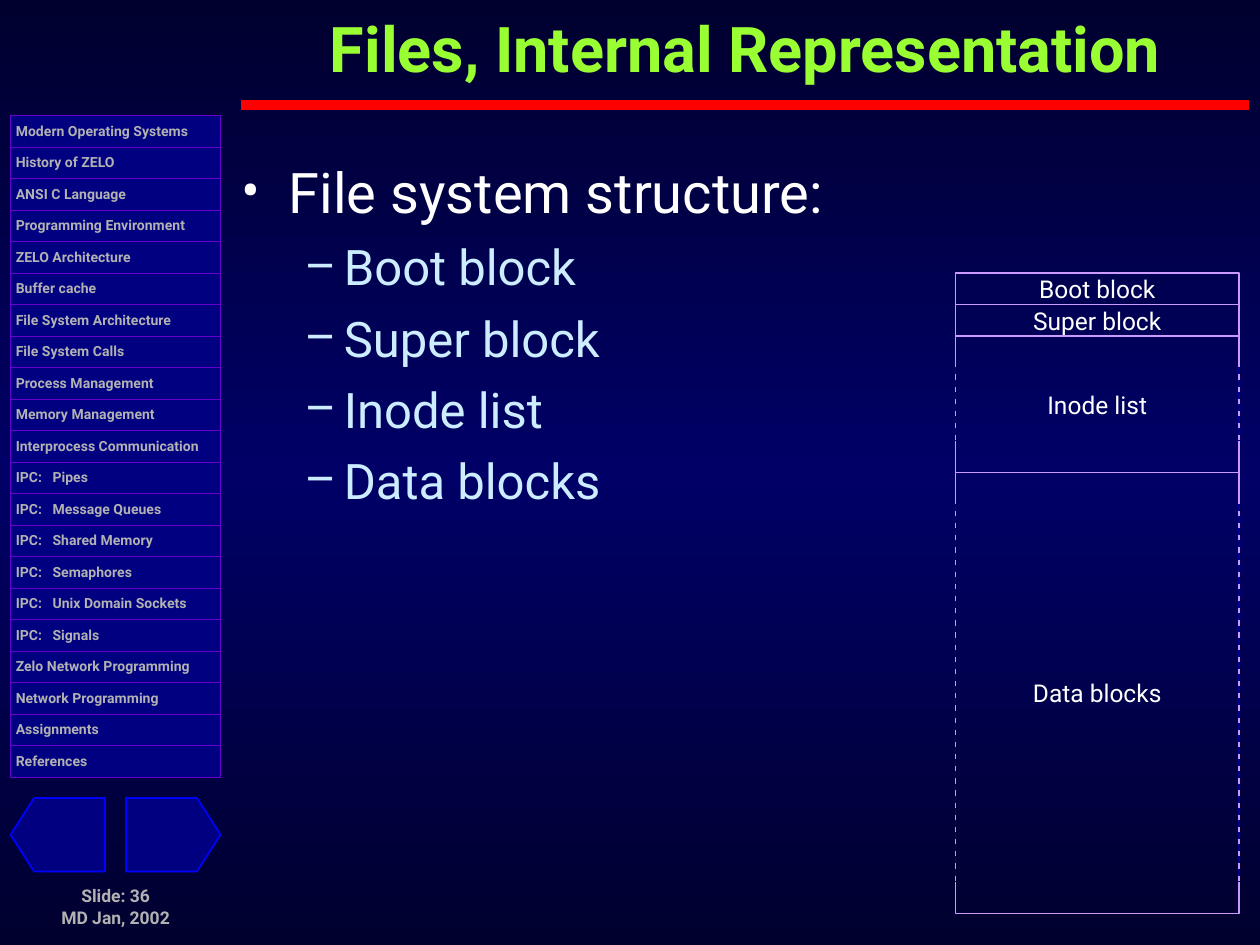
from copy import deepcopy

from pptx import Presentation
from pptx.dml.color import RGBColor
from pptx.enum.dml import MSO_LINE
from pptx.enum.shapes import MSO_CONNECTOR, MSO_SHAPE
from pptx.enum.text import MSO_ANCHOR, MSO_AUTO_SIZE, PP_ALIGN
from pptx.oxml.ns import qn
from pptx.util import Pt
from lxml.etree import SubElement

FONT = "Roboto"
NIGHT = RGBColor(0x00, 0x00, 0x2F)
INDIGO = RGBColor(0x00, 0x00, 0x66)
NAVY = RGBColor(0x00, 0x00, 0x80)
PURPLE = RGBColor(0x66, 0x00, 0xCC)
BLUE = RGBColor(0x00, 0x00, 0xFF)
DASH_BLUE = RGBColor(0x00, 0x00, 0x99)
RED = RGBColor(0xFF, 0x00, 0x00)
GREEN = RGBColor(0x99, 0xFF, 0x33)
GREY = RGBColor(0xB2, 0xB2, 0xB2)
WHITE = RGBColor(0xFF, 0xFF, 0xFF)
ICE = RGBColor(0xCC, 0xEC, 0xFF)
LILAC = RGBColor(0xCC, 0x99, 0xFF)

TOPICS = [
    "Modern Operating Systems", "History of ZELO", "ANSI C Language",
    "Programming Environment", "ZELO Architecture", "Buffer cache",
    "File System Architecture", "File System Calls", "Process Management",
    "Memory Management", "Interprocess Communication", "IPC:   Pipes",
    "IPC:   Message Queues", "IPC:   Shared Memory", "IPC:   Semaphores",
    "IPC:   Unix Domain Sockets", "IPC:   Signals",
    "Zelo Network Programming", "Network Programming", "Assignments",
    "References",
]
BLOCKS = [("Boot block", 18), ("Super block", 18),
          ("Inode list", 78), ("Data blocks", 252)]
NAV_LEFT, NAV_TOP, NAV_WIDTH, NAV_ROW = 6, 66, 120, 18
DISK_LEFT, DISK_TOP, DISK_WIDTH = 546, 156, 162
DASH_GAP = 18


def set_background(s):
    fill = s.background.fill
    fill.gradient()
    fill.gradient_angle = 90
    stops = s.element.find(".//" + qn("a:gsLst"))
    stops.append(deepcopy(stops[0]))
    for stop, pos, color in zip(fill.gradient_stops, (0, 0.5, 1),
                                (NIGHT, INDIGO, NIGHT)):
        stop.position = pos
        stop.color.rgb = color


def place(sp, left, top, width, height):
    sp.left, sp.top, sp.width, sp.height = map(Pt, (left, top, width, height))


def set_frame(tf, insets, anchor, wrap):
    tf.margin_left, tf.margin_top, tf.margin_right, tf.margin_bottom = map(Pt, insets)
    tf.vertical_anchor = anchor
    tf.word_wrap = wrap
    tf.auto_size = MSO_AUTO_SIZE.NONE


def format_paragraph(p, size, color, bold=False, align=PP_ALIGN.LEFT):
    p.alignment = align
    for r in p.runs:
        r.font.name = FONT
        r.font.size = Pt(size)
        r.font.bold = bold
        r.font.color.rgb = color


def add_bullet(p, char, color, margin, indent):
    pPr = p._p.get_or_add_pPr()
    pPr.set("marL", str(Pt(margin)))
    pPr.set("indent", str(Pt(-indent)))
    clr = SubElement(pPr, qn("a:buClr"))
    SubElement(clr, qn("a:srgbClr")).set("val", str(color))
    SubElement(pPr, qn("a:buFont")).set("typeface", FONT)
    SubElement(pPr, qn("a:buChar")).set("char", char)


def add_box(s, shape, left, top, width, height, fill, line, weight):
    sp = s.shapes.add_shape(shape, *map(Pt, (left, top, width, height)))
    sp.shadow.inherit = False
    if fill is None:
        sp.fill.background()
    else:
        sp.fill.solid()
        sp.fill.fore_color.rgb = fill
    sp.line.color.rgb = line
    sp.line.width = Pt(weight)
    return sp


def add_line(s, x1, y1, x2, y2, color, weight, dash=None):
    sp = s.shapes.add_connector(MSO_CONNECTOR.STRAIGHT, *map(Pt, (x1, y1, x2, y2)))
    sp.line.color.rgb = color
    sp.line.width = Pt(weight)
    if dash:
        sp.line.dash_style = dash
    SubElement(sp._element.spPr, qn("a:effectLst"))


def add_title(s):
    sp = s.shapes.title
    place(sp, 138, 6, 576, 42)
    tf = sp.text_frame
    tf.text = "Files, Internal Representation"
    set_frame(tf, (3, 3, 3, 3), MSO_ANCHOR.MIDDLE, True)
    format_paragraph(tf.paragraphs[0], 36, GREEN, True, PP_ALIGN.CENTER)


def add_body(s):
    sp = s.placeholders[1]
    place(sp, 138, 90, 576, 444)
    tf = sp.text_frame
    set_frame(tf, (0, 0, 0, 0), MSO_ANCHOR.TOP, True)
    tf.text = "File system structure:"
    p = tf.paragraphs[0]
    add_bullet(p, "•", WHITE, 27, 27)
    p.space_before = Pt(0)
    format_paragraph(p, 32, WHITE)
    for name, _ in BLOCKS:
        p = tf.add_paragraph()
        p.text = name
        p.level = 1
        add_bullet(p, "–", ICE, 58.5, 22.5)
        p.space_before = Pt(7)
        format_paragraph(p, 28, ICE)


def add_navigation(s):
    for i, topic in enumerate(TOPICS):
        sp = add_box(s, MSO_SHAPE.RECTANGLE, NAV_LEFT, NAV_TOP + i * NAV_ROW,
                     NAV_WIDTH, NAV_ROW, NAVY, PURPLE, 0.25)
        tf = sp.text_frame
        tf.text = topic
        set_frame(tf, (3, 4, 1.5, 0), MSO_ANCHOR.TOP, False)
        format_paragraph(tf.paragraphs[0], 8, GREY, True)
    for left, rotation in ((NAV_LEFT, 180), (NAV_LEFT + 66, 0)):
        sp = add_box(s, MSO_SHAPE.PENTAGON, left, 456, 54, 42, NAVY, BLUE, 1)
        sp.adjustments[0] = 0.32
        sp.rotation = rotation


def add_footer(s):
    sp = s.shapes.add_textbox(*map(Pt, (NAV_LEFT, 504, NAV_WIDTH, 30)))
    tf = sp.text_frame
    tf.text = "Slide: 36\nMD Jan, 2002"
    set_frame(tf, (1.5, 2, 1.5, 0), MSO_ANCHOR.TOP, False)
    for p in tf.paragraphs:
        format_paragraph(p, 10, GREY, True, PP_ALIGN.CENTER)


def add_disk_layout(s):
    top = DISK_TOP
    dashes = []
    for name, height in BLOCKS:
        sp = add_box(s, MSO_SHAPE.RECTANGLE, DISK_LEFT, top, DISK_WIDTH, height,
                     None, LILAC, 1)
        tf = sp.text_frame
        tf.text = name
        set_frame(tf, (6, 4, 6, 4), MSO_ANCHOR.MIDDLE, False)
        format_paragraph(tf.paragraphs[0], 14, WHITE, align=PP_ALIGN.CENTER)
        if height > 2 * DASH_GAP:
            dashes.append((top + DASH_GAP, top + height - DASH_GAP))
        top += height
    for start, end in dashes:
        for x in (DISK_LEFT, DISK_LEFT + DISK_WIDTH):
            add_line(s, x, start, x, end, DASH_BLUE, 1, MSO_LINE.DASH)


def main():
    prs = Presentation()
    prs.slide_width, prs.slide_height = Pt(720), Pt(540)
    s = prs.slides.add_slide(prs.slide_layouts[1])
    set_background(s)
    add_navigation(s)
    add_line(s, 138, 60, 714, 60, RED, 6)
    add_footer(s)
    add_title(s)
    add_body(s)
    add_disk_layout(s)
    prs.save("out.pptx")


if __name__ == "__main__":
    main()
